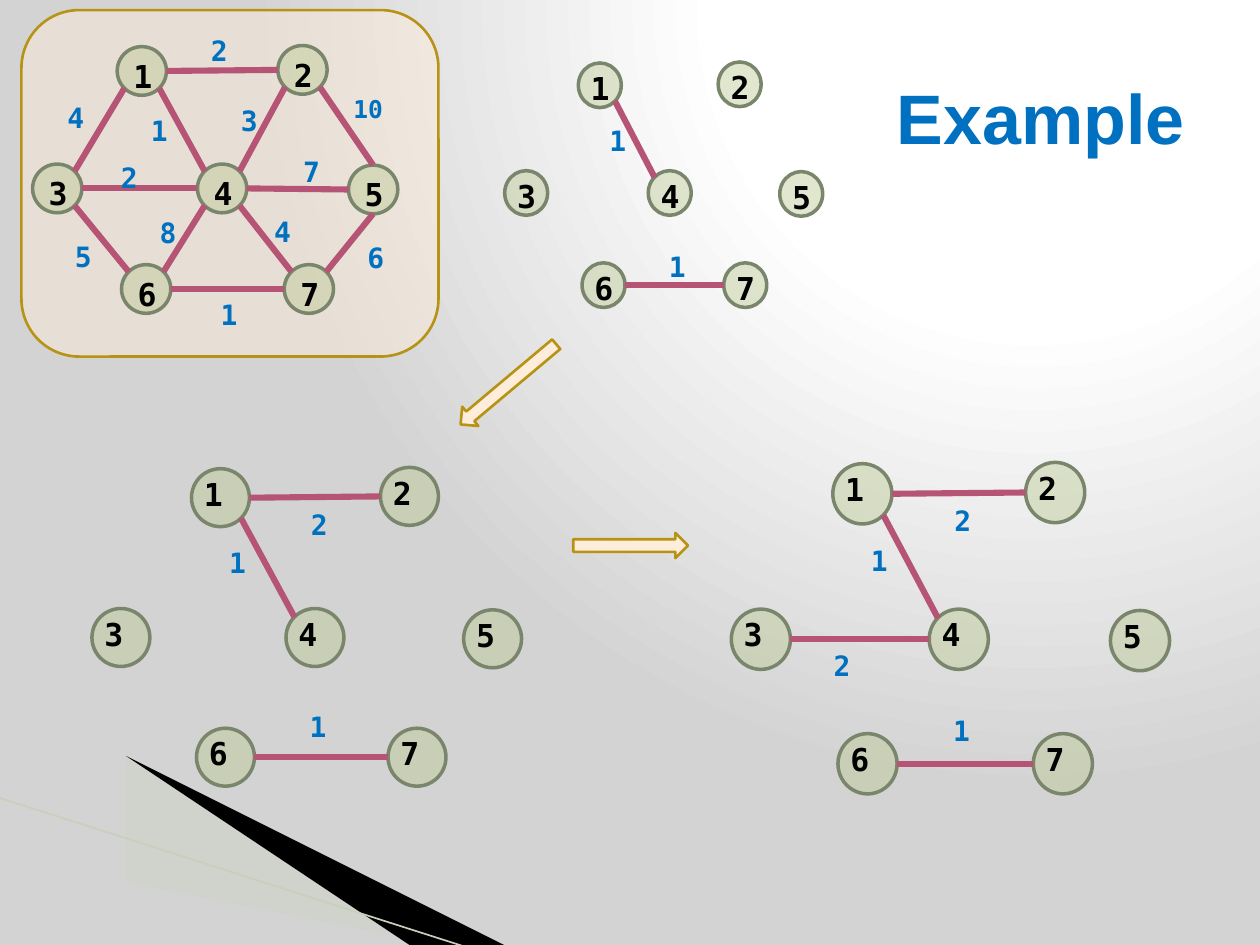
from math import atan2, cos, degrees, radians, sin

from lxml import etree
from pptx import Presentation
from pptx.dml.color import RGBColor
from pptx.enum.shapes import MSO_CONNECTOR, MSO_SHAPE as SHAPE
from pptx.enum.text import MSO_ANCHOR, MSO_AUTO_SIZE, PP_ALIGN
from pptx.oxml import parse_xml
from pptx.oxml.ns import nsdecls, qn
from pptx.util import Inches, Pt

MONO = "DejaVu Sans Mono"
BLUE, BLACK = "0070C0", "000000"
EDGE, NODE_FILL, NODE_LINE = "B55475", "BECB95", "7A866C"
CREAM, GOLD = "FDEDDA", "B79315"

# Node corners relative to node 1, shared by all graphs before scaling
NODES = {1: (0, 0), 2: (1.5, -0.01), 3: (-0.79, 1.11), 4: (0.75, 1.11),
         5: (2.16, 1.12), 6: (0.04, 2.06), 7: (1.56, 2.06)}
DIAMETER = 0.46

# Edges: from, to, weight, offset of the weight label from node 1
FULL_GRAPH = [
    (1, 2, "2", 0.76, -0.18), (1, 3, "4", -0.58, 0.45),
    (1, 4, "1", 0.2, 0.57), (2, 4, "3", 1.04, 0.48),
    (2, 5, "10", 2.09, 0.39), (3, 4, "2", -0.08, 1.02),
    (4, 5, "7", 1.62, 0.96), (3, 6, "5", -0.51, 1.76),
    (4, 6, "8", 0.28, 1.54), (4, 7, "4", 1.35, 1.53),
    (7, 5, "6", 2.22, 1.77), (6, 7, "1", 0.85, 2.31),
]
STAGE_1 = [(1, 4, "1", 0.2, 0.56), (6, 7, "1", 0.84, 1.86)]
STAGE_2 = STAGE_1 + [(1, 2, "2", 0.85, 0.26)]
STAGE_3 = STAGE_2 + [(3, 4, "2", -0.09, 1.36)]
# Steep edges that meet node 5 straight above or below
END_ANGLES = {(2, 5): 270, (7, 5): 90}


def color(hex_code):
    return RGBColor.from_string(hex_code)


def paint(shape, fill, line=None, width=1.5, opacity=100):
    shape.shadow.inherit = False
    shape.fill.solid()
    shape.fill.fore_color.rgb = color(fill)
    if opacity < 100:
        rgb = shape.fill._xPr.find(qn("a:solidFill"))[0]
        etree.SubElement(rgb, qn("a:alpha"), val=str(opacity * 1000))
    if line:
        shape.line.color.rgb = color(line)
        shape.line.width = Pt(width)
    else:
        shape.line.fill.background()


def add_preset(shapes, preset, left, top, width, height):
    return shapes.add_shape(preset, Inches(left), Inches(top),
                            Inches(width), Inches(height))


def add_line(shapes, start, end, line, width):
    connector = shapes.add_connector(MSO_CONNECTOR.STRAIGHT,
                                     *(Inches(v) for v in (*start, *end)))
    connector.line.color.rgb = color(line)
    connector.line.width = Pt(width)
    etree.SubElement(connector._element.spPr, qn("a:effectLst"))


def add_text(shapes, text, left, top, width, height, size, fill, font=MONO):
    box = shapes.add_textbox(Inches(left), Inches(top),
                             Inches(width), Inches(height))
    frame = box.text_frame
    frame.word_wrap = True
    frame.text = text
    style = frame.paragraphs[0].runs[0].font
    style.name, style.size, style.bold = font, Pt(size), True
    style.color.rgb = color(fill)
    return frame


def add_label(shapes, text, left, top, width, height, size, fill):
    frame = add_text(shapes, text, left, top, width, height, size, fill)
    frame.auto_size = MSO_AUTO_SIZE.SHAPE_TO_FIT_TEXT
    frame.paragraphs[0].space_after = Pt(6)


def add_polygon(shapes, points, fill, opacity=100):
    builder = shapes.build_freeform(*points[0], scale=Inches(1))
    builder.add_line_segments(points[1:], close=True)
    paint(builder.convert_to_shape(), fill, opacity=opacity)


def add_graph(shapes, left, top, x_scale, y_scale, edges, nudge=0.0):
    """Draw the graph with node 1 at left, top; nudge shifts the node numbers."""
    corners = {n: (left + x * x_scale, top + y * y_scale)
               for n, (x, y) in NODES.items()}
    width, height = DIAMETER * x_scale, DIAMETER * y_scale

    def rim(node, angle):
        x, y = corners[node]
        return (x + width / 2 * (1 + cos(radians(angle))),
                y + height / 2 * (1 + sin(radians(angle))))

    def facing(node, other):
        (x, y), (other_x, other_y) = corners[node], corners[other]
        return 45 * round(degrees(atan2(other_y - y, other_x - x)) / 45)

    for number, (x, y) in corners.items():
        circle = add_preset(shapes, SHAPE.OVAL, x, y, width, height)
        paint(circle, NODE_FILL, NODE_LINE, 2, opacity=45)
        add_label(shapes, str(number), x + nudge, y + nudge,
                  0.4 * x_scale, 0.31 * y_scale, 18, BLACK)

    for first, second, weight, x, y in edges:
        end_angle = END_ANGLES.get((first, second), facing(second, first))
        add_line(shapes, rim(first, facing(first, second)),
                 rim(second, end_angle), EDGE, 3.5)
        label_width, size = (0.4, 16) if len(weight) == 1 else (0.6, 14)
        add_label(shapes, weight, left + x * x_scale, top + y * y_scale,
                  label_width * x_scale, 0.36 * y_scale, size, BLUE)


def add_arrow(shapes, left, top, length, rotation=0):
    arrow = add_preset(shapes, SHAPE.RIGHT_ARROW, left, top, length, 0.2)
    arrow.rotation = rotation
    paint(arrow, CREAM, GOLD)


def set_background(slide):
    slide.background.fill.gradient()
    gradient = slide._element.find(".//" + qn("a:gradFill"))
    stops = "".join(f'<a:gs pos="{pos}"><a:srgbClr val="{rgb}"/></a:gs>'
                    for pos, rgb in ((0, "FFFFFF"), (40000, "FFFFFF"),
                                     (100000, "D3D3D3")))
    gradient.getparent().replace(gradient, parse_xml(
        f'<a:gradFill {nsdecls("a")} rotWithShape="1"><a:gsLst>{stops}</a:gsLst>'
        '<a:path path="circle">'
        '<a:fillToRect l="65000" t="0" r="0" b="98000"/></a:path></a:gradFill>'))


def main():
    prs = Presentation()
    prs.slide_width, prs.slide_height = Inches(10), Inches(7.5)
    slide = prs.slides.add_slide(prs.slide_layouts[6])
    shapes = slide.shapes
    set_background(slide)

    # Corner decoration
    add_polygon(shapes, [(0.55, 6.51), (5.95, 7.51), (4.56, 7.51), (0.55, 6.5)],
                "CBD4C0", opacity=40)
    add_polygon(shapes, [(0.53, 6.49), (4.57, 7.51), (3.72, 7.52), (0.54, 6.5)],
                BLACK)
    add_line(shapes, (-0.01, 6.33), (3.71, 7.52), "C6D0BB", 0.95)

    # Title
    title = add_text(shapes, "Example", 6.44, 0.3, 3.06, 1.25, 40, BLUE, "Arial")
    title.vertical_anchor = MSO_ANCHOR.MIDDLE
    title.paragraphs[0].alignment = PP_ALIGN.RIGHT

    # Weighted graph in its panel
    full_graph = shapes.add_group_shape().shapes
    panel = add_preset(full_graph, SHAPE.ROUNDED_RECTANGLE, 0.17, 0.08, 3.31, 2.75)
    paint(panel, CREAM, GOLD, opacity=49)
    add_graph(full_graph, 0.93, 0.37, 0.85, 0.84, FULL_GRAPH, nudge=0.03)

    # Arrows between the stages
    add_arrow(shapes, 4.55, 4.23, 0.91)
    add_arrow(shapes, 3.54, 2.95, 0.99, rotation=140)

    # Stages of the spanning tree
    for left, top, x_scale, y_scale, edges in (
            (4.59, 0.5, 0.74, 0.77, STAGE_1),
            (1.52, 3.72, 1, 1, STAGE_2),
            (6.61, 3.68, 1.02, 1.04, STAGE_3)):
        stage = shapes.add_group_shape().shapes
        add_graph(stage, left, top, x_scale, y_scale, edges)

    prs.save("out.pptx")


if __name__ == "__main__":
    main()
